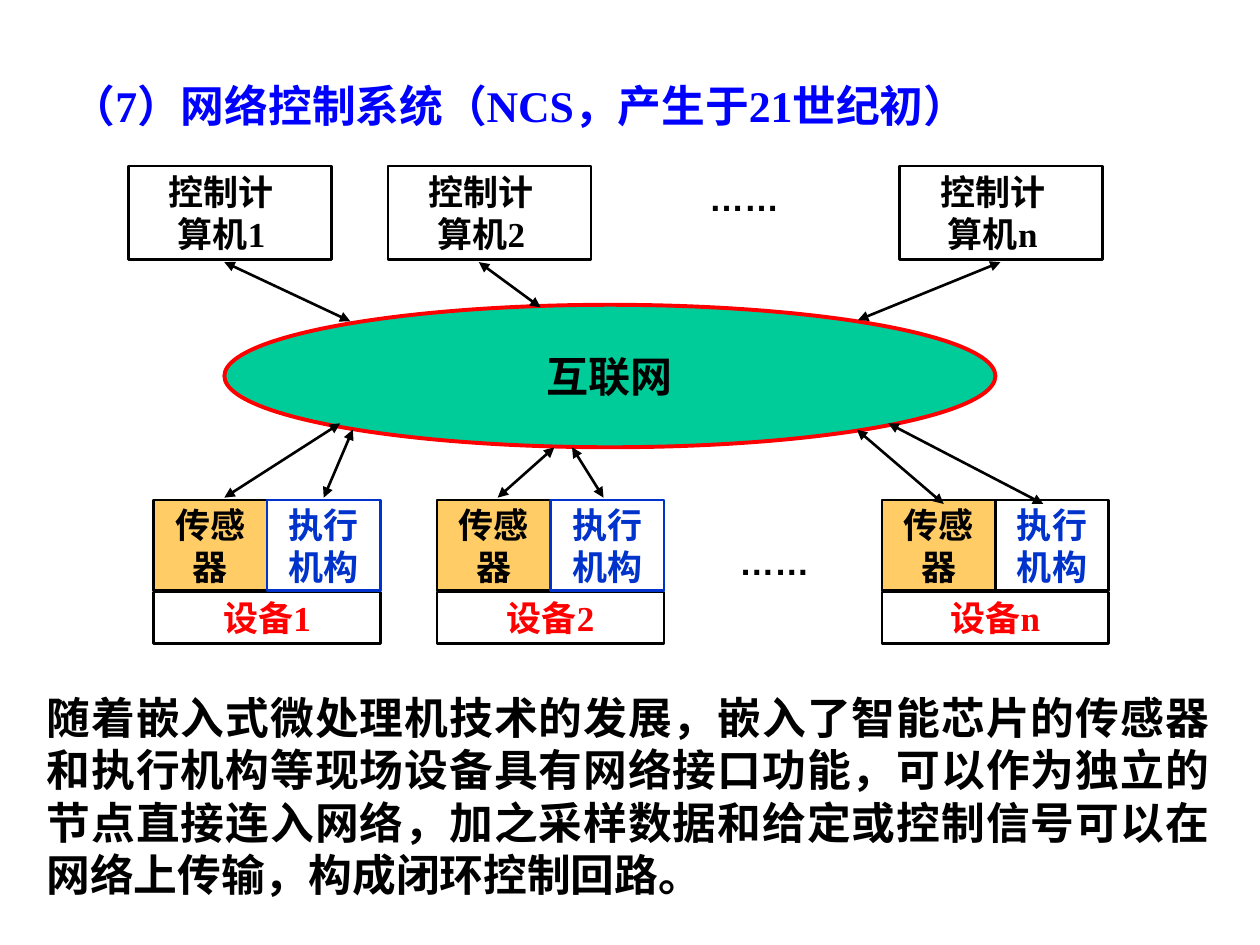
from pptx import Presentation
from pptx.dml.color import RGBColor
from pptx.enum.shapes import MSO_CONNECTOR, MSO_SHAPE
from pptx.enum.text import MSO_ANCHOR, MSO_AUTO_SIZE, PP_ALIGN
from pptx.oxml.ns import qn
from pptx.util import Pt
from lxml import etree


def rgb(value):
    return RGBColor.from_string(value)


def write(sp, text, size, color, align=PP_ALIGN.CENTER, anchor=MSO_ANCHOR.MIDDLE,
          wrap=False, font="Times New Roman"):
    tf = sp.text_frame
    tf.text = text
    tf.word_wrap = wrap
    tf.auto_size = MSO_AUTO_SIZE.NONE
    tf.vertical_anchor = anchor
    for p in tf.paragraphs:
        p.alignment = align
        p.space_before = Pt(0)
        for r in p.runs:
            r.font.name = font
            r.font.size = Pt(size)
            r.font.bold = True
            r.font.color.rgb = rgb(color)


prs = Presentation()
prs.slide_width, prs.slide_height = Pt(720), Pt(540)
s = prs.slides.add_slide(prs.slide_layouts[1])

title = s.shapes.title
title.left, title.top, title.width, title.height = Pt(33.8), Pt(41), Pt(623.5), Pt(37.5)
write(title, "（7）网络控制系统（NCS，产生于21世纪初）", 25, "0000FF", PP_ALIGN.LEFT, wrap=True)

body = s.placeholders[1]
body.left, body.top, body.width, body.height = Pt(19.4), Pt(391), Pt(679), Pt(127.4)
write(body, "随着嵌入式微处理机技术的发展，嵌入了智能芯片的传感器和执行机构等现场设备具有网络接口功能，"
      "可以作为独立的节点直接连入网络，加之采样数据和给定或控制信号可以在网络上传输，构成闭环控制回路。",
      25, "000000", PP_ALIGN.JUSTIFY, MSO_ANCHOR.TOP, True)
pPr = body.text_frame.paragraphs[0]._p.get_or_add_pPr()
pPr.set("marL", "0")
pPr.set("indent", "0")
etree.SubElement(pPr, qn("a:buNone"))

RECT, OVAL = MSO_SHAPE.RECTANGLE, MSO_SHAPE.OVAL
boxes = [(OVAL, 128.2, 174.2, 440.6, 81.4, "00CC99", "FF0000", 2.25, "互联网", 24, "000000", 7.2)]

for label, x in (("1", 73.4), ("2", 221.8), ("n", 514.1)):
    boxes.append((RECT, x, 95, 115.9, 53.3, None, "000000", 1.5,
                  f"控制计\n算机{label}", 20, "000000", 16.6))

cell_w, cell_h, cell_y = 64.8, 51.8, 285.8
for label, x, edge in (("1", 87.8, "0033CC"), ("2", 249.8, "0033CC"), ("n", 504, "000000")):
    boxes += [
        (RECT, x, 338.2, 2 * cell_w, 29.5, None, "000000", 1.5,
         f"设备{label}", 20, "FF0000", 7.2),
        (RECT, x, cell_y, cell_w, cell_h, "FFCC66", "000000", 1.5,
         "传感\n器", 20, "000000", 7.2),
        (RECT, x + cell_w, cell_y, cell_w, cell_h, None, edge, 1.5,
         "执行\n机构", 20, "0033CC", 7.2),
    ]

for kind, x, y, w, h, fill, edge, weight, text, size, color, right in boxes:
    sp = s.shapes.add_shape(kind, Pt(x), Pt(y), Pt(w), Pt(h))
    sp.shadow.inherit = False
    if fill:
        sp.fill.solid()
        sp.fill.fore_color.rgb = rgb(fill)
    else:
        sp.fill.background()
    sp.line.color.rgb = rgb(edge)
    sp.line.width = Pt(weight)
    write(sp, text, size, color)
    sp.text_frame.margin_right = Pt(right)

for x, y in ((398.2, 97.2), (415.4, 305.3)):
    sp = s.shapes.add_textbox(Pt(x), Pt(y), Pt(134.3), Pt(31.7))
    write(sp, "……", 20, "000000", PP_ALIGN.LEFT, MSO_ANCHOR.TOP, True, "Arial")

arrows = [
    (128.2, 149.8, 200.2, 183.6),
    (273.6, 149.8, 308.9, 175.7),
    (571.7, 149.8, 490.3, 182.9),
    (128.2, 284.4, 194.4, 241.9),
    (201.6, 245.5, 185, 284.4),
    (284.4, 284.4, 316.8, 255.6),
    (326.9, 255.6, 344.9, 284.4),
    (539.3, 288, 489.6, 245.5),
    (507.6, 241.9, 596.2, 288),
]
for x1, y1, x2, y2 in arrows:
    line = s.shapes.add_connector(MSO_CONNECTOR.STRAIGHT, Pt(x1), Pt(y1), Pt(x2), Pt(y2))
    line.line.color.rgb = rgb("000000")
    line.line.width = Pt(1.5)
    ln = line.line._get_or_add_ln()
    for tag in ("a:headEnd", "a:tailEnd"):
        etree.SubElement(ln, qn(tag), type="triangle")
    etree.SubElement(line._element.spPr, qn("a:effectLst"))

prs.save("out.pptx")
